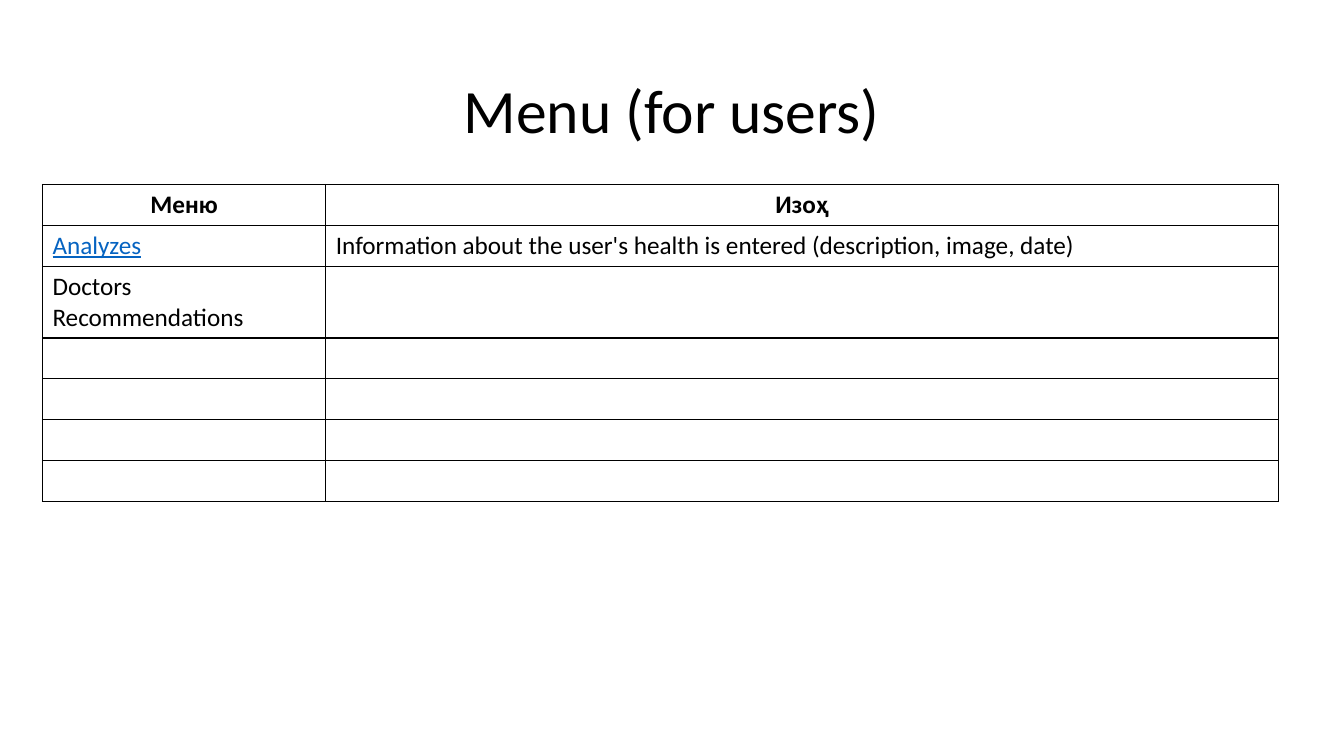
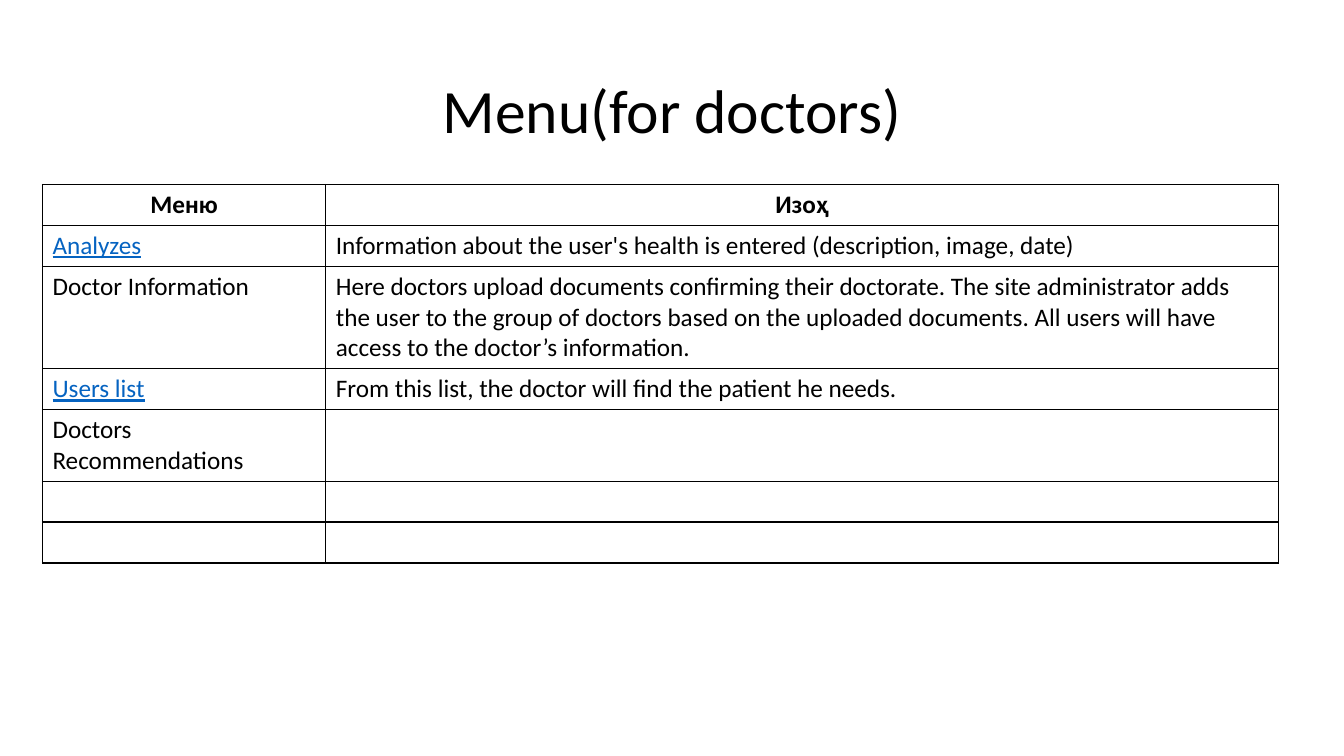
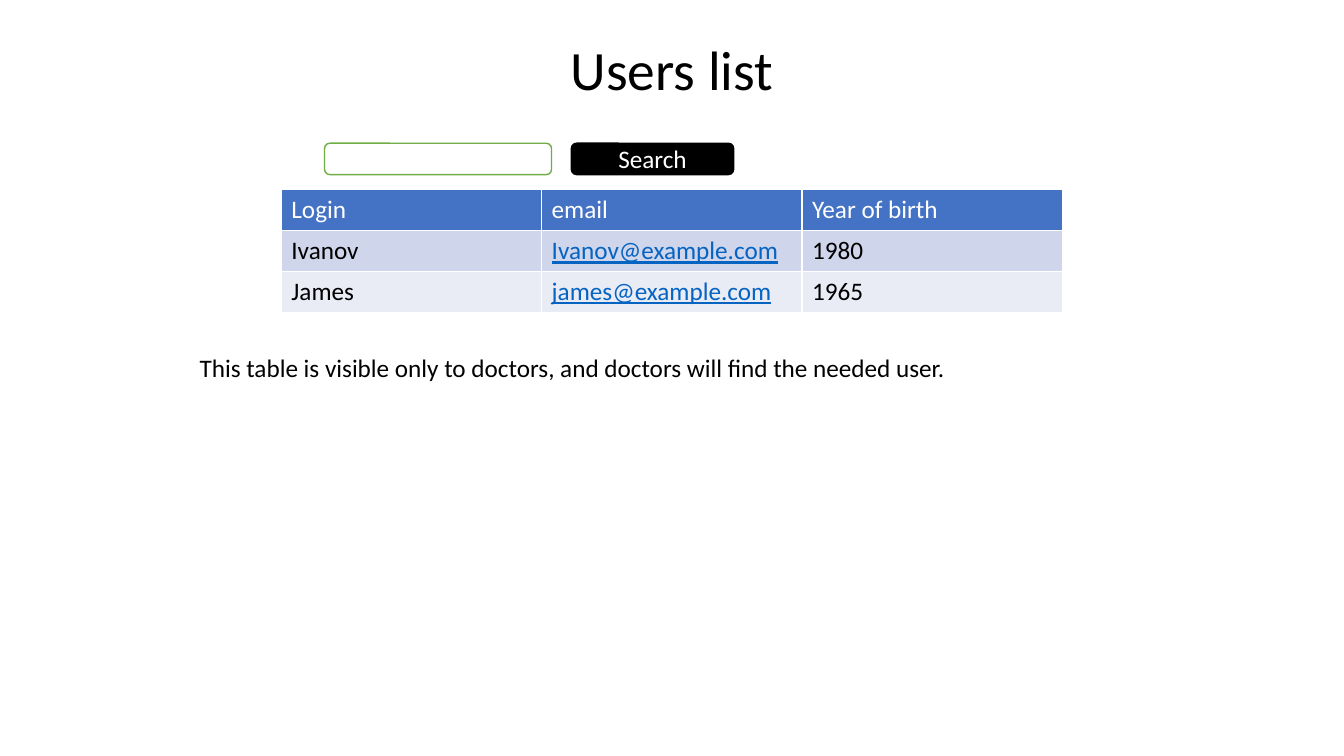
import pptx
import pptx.util
import pptx.dml.color
import pptx.enum.shapes
import pptx.enum.text
import pptx.oxml
import pptx.oxml.ns
from pptx.util import Cm

# Shared look
FONT = "Calibri"
BODY_SIZE = 18
BLACK, WHITE = "000000", "FFFFFF"
LINK = "0563C1"
GREEN = "70AD47"
HEADER_BLUE = "4472C4"
BANDS = ["CFD5EA", "E9EBF5"]
ROW_HEIGHT = Cm(1.03)
CENTER = pptx.enum.text.PP_ALIGN.CENTER
MIDDLE = pptx.enum.text.MSO_ANCHOR.MIDDLE


def rgb(color):
    return pptx.dml.color.RGBColor.from_string(color)


def write(frame, text, size=BODY_SIZE, color=BLACK, bold=False, underline=False, align=None):
    frame.text = text
    for paragraph in frame.paragraphs:
        paragraph.alignment = align
        for run in paragraph.runs:
            font = run.font
            font.name, font.size = FONT, pptx.util.Pt(size)
            font.bold, font.underline = bold, underline
            font.color.rgb = rgb(color)


def set_borders(cell, color, width=1):
    properties = cell._tc.get_or_add_tcPr()
    for position, side in enumerate("LRTB"):
        properties.insert(position, pptx.oxml.parse_xml(
            f'<a:ln{side} {pptx.oxml.ns.nsdecls("a")} w="{pptx.util.Pt(width)}">'
            f'<a:solidFill><a:srgbClr val="{color}"/></a:solidFill></a:ln{side}>'))


def add_title_slide(deck, title_text, height, size):
    slide = deck.slides.add_slide(deck.slide_layouts[5])
    title = slide.shapes.title
    title.left, title.top, title.width, title.height = Cm(2.33), Cm(1.01), Cm(29.21), height
    frame = title.text_frame
    write(frame, title_text, size, align=CENTER)
    frame.auto_size = pptx.enum.text.MSO_AUTO_SIZE.NONE
    frame.vertical_anchor = MIDDLE
    frame.paragraphs[0].line_spacing = 0.9
    return slide


def add_grid(slide, left, top, widths, rows, border, links, header, fills):
    """Table whose first row takes the header format; fills gives one colour per row."""
    table = slide.shapes.add_table(len(rows), len(widths), left, top,
                                   sum(widths), ROW_HEIGHT * len(rows)).table
    table.first_row = table.horz_banding = False
    for column, width in zip(table.columns, widths):
        column.width = width
    for r, (texts, fill) in enumerate(zip(rows, fills)):
        for c, text in enumerate(texts):
            cell = table.cell(r, c)
            cell.fill.solid()
            cell.fill.fore_color.rgb = rgb(fill)
            set_borders(cell, border)
            if r == 0:
                style = header
            elif text in links:
                style = {"color": LINK, "underline": True}
            else:
                style = {}
            if text:
                write(cell.text_frame, text, **style)


def add_menu_slide(deck, title_text, entries):
    slide = add_title_slide(deck, title_text, Cm(3.68), 44)
    rows = [("Меню", "Изоҳ")] + entries
    rows += [("", "")] * (7 - len(rows))
    add_grid(slide, Cm(1.07), Cm(4.65), [Cm(7.14), Cm(24)], rows, BLACK,
             links=("Analyzes", "Users list"),
             header={"bold": True, "align": CENTER}, fills=[WHITE] * len(rows))


def add_search_bar(slide, left, top, height):
    # Input field, then button
    parts = [(Cm(0), Cm(5.72), WHITE, GREEN, ""),
             (Cm(6.22), Cm(4.09), BLACK, BLACK, "Search")]
    for offset, width, fill, line, label in parts:
        box = slide.shapes.add_shape(pptx.enum.shapes.MSO_SHAPE.ROUNDED_RECTANGLE,
                                     left + offset, top, width, height)
        box.shadow.inherit = False
        box.fill.solid()
        box.fill.fore_color.rgb = rgb(fill)
        box.line.color.rgb = rgb(line)
        box.line.width = pptx.util.Pt(1)
        if label:
            write(box.text_frame, label, color=WHITE, align=CENTER)
            box.text_frame.vertical_anchor = MIDDLE


def add_users_slide(deck):
    slide = add_title_slide(deck, "Users list", Cm(1.65), 39.6)
    emails = ("Ivanov@example.com", "james@example.com")
    rows = [("Login", "email", "Year of birth"),
            ("Ivanov", emails[0], "1980"),
            ("James", emails[1], "1965")]
    add_grid(slide, Cm(7.09), Cm(4.78), [Cm(6.56)] * 3, rows, WHITE, links=emails,
             header={"color": WHITE}, fills=[HEADER_BLUE] + BANDS)
    add_search_bar(slide, Cm(8.18), Cm(3.61), Cm(0.79))
    # Remark below the table
    remark = slide.shapes.add_textbox(Cm(4.78), Cm(8.76), Cm(24.87), Cm(1.02)).text_frame
    remark.word_wrap = True
    write(remark, "This table is visible only to doctors, and doctors will find the needed user.")


def main():
    deck = pptx.Presentation()
    deck.slide_width, deck.slide_height = Cm(33.87), Cm(19.05)
    analyzes = ("Analyzes",
                "Information about the user's health is entered (description, image, date)")
    recommendations = ("Doctors Recommendations", "")
    add_menu_slide(deck, "Menu (for users)", [analyzes, recommendations])
    add_menu_slide(deck, "Menu(for doctors)", [
        analyzes,
        ("Doctor Information",
         "Here doctors upload documents confirming their doctorate. The site administrator "
         "adds the user to the group of doctors based on the uploaded documents. All users "
         "will have access to the doctor’s information."),
        ("Users list", "From this list, the doctor will find the patient he needs."),
        recommendations])
    add_users_slide(deck)
    deck.save("out.pptx")


if __name__ == "__main__":
    main()
